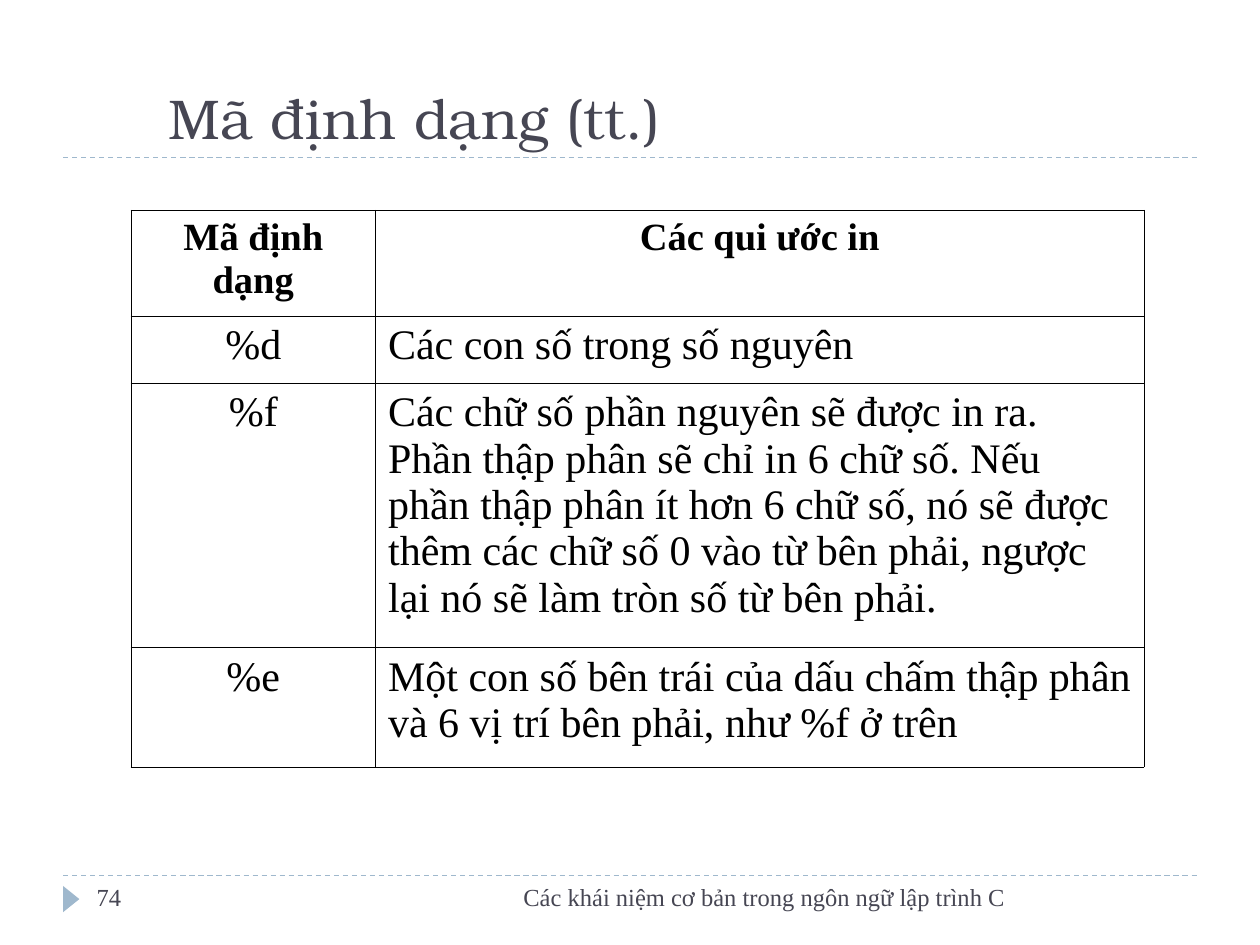
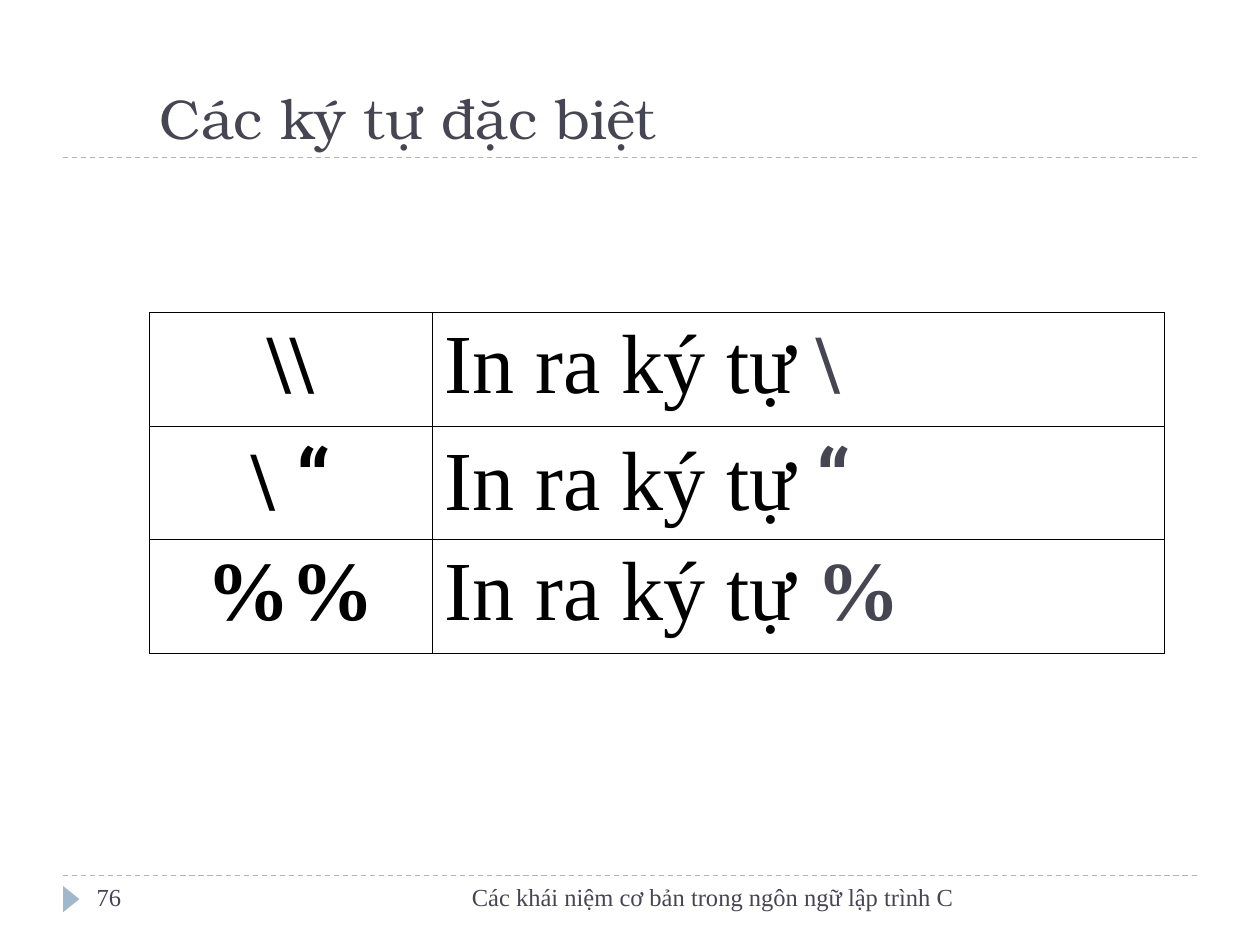
"""Build two slides on C format codes and special characters."""
from lxml.etree import SubElement
from pptx import Presentation
from pptx.dml.color import RGBColor
from pptx.enum.dml import MSO_LINE
from pptx.enum.shapes import MSO_CONNECTOR, MSO_SHAPE
from pptx.enum.text import MSO_ANCHOR, MSO_AUTO_SIZE, PP_ALIGN
from pptx.oxml.ns import qn
from pptx.util import Cm, Pt

INK = RGBColor(0x46, 0x46, 0x53)
BLUE = RGBColor(0x9F, 0xB8, 0xCD)
BLACK = RGBColor(0, 0, 0)
SERIF = "Times New Roman"
SANS = "Roboto"
HEAD = "TeX Gyre Bonum"
FOOT = "Các khái niệm cơ bản trong ngôn ngữ lập trình C"


def write(para, text, size, font=SERIF, color=BLACK, bold=False):
    run = para.add_run()
    run.text = text
    run.font.size = Pt(size)
    run.font.name = font
    run.font.color.rgb = color
    run.font.bold = bold


def edge(cell):
    props = cell._tc.get_or_add_tcPr()
    for side in ("a:lnL", "a:lnR", "a:lnT", "a:lnB"):
        line = SubElement(props, qn(side), w=str(Pt(0.45)))
        fill = SubElement(line, qn("a:solidFill"))
        SubElement(fill, qn("a:srgbClr"), val=str(BLACK))


codes = [
    ("%d", "Các con số trong số nguyên"),
    ("%f", "Các chữ số phần nguyên sẽ được in ra. Phần thập phân sẽ chỉ in "
           "6 chữ số. Nếu phần thập phân ít hơn 6 chữ số, nó sẽ được thêm các "
           "chữ số 0 vào từ bên phải, ngược lại nó sẽ làm tròn số từ bên phải."),
    ("%e", "Một con số bên trái của dấu chấm thập phân và 6 vị trí bên phải, "
           "như %f ở trên"),
]
rules = [[[(text, 22, SERIF, BLACK, True)] for text in ("Mã định dạng", "Các qui ước in")]]
rules += [[[(text, 24)] for text in pair] for pair in codes]

lead = ("In ra ký tự ", 48)
signs = [
    [[("\\\\", 48, SERIF, BLACK, True)],
     [lead, ("\\", 48, SERIF, INK, True)]],
    [[("\\ ", 48, SERIF, BLACK, True), ("“", 48, SANS, BLACK, True)],
     [lead, ("“", 48, SANS, INK, True)]],
    [[("%%", 48, SERIF, BLACK, True)],
     [lead, ("%", 48, SERIF, INK, True)]],
]

pages = [
    {"title": "Mã định dạng (tt.)", "left": 3.15, "width": 18.44,
     "spot": (2.64, 4.24), "cols": (4.93, 15.49),
     "rows": (2.13, 1.35, 5.33, 2.41), "cells": rules, "heads": 1,
     "foot": 12.47, "number": "74"},
    {"title": "Các ký tự đặc biệt", "left": 2.97, "width": 16.33,
     "spot": (3.02, 6.3), "cols": (5.69, 14.76),
     "rows": (2.29,) * 3, "cells": signs, "heads": 0,
     "foot": 11.43, "number": "76"},
]

deck = Presentation()
deck.slide_width, deck.slide_height = Cm(25.4), Cm(19.05)

for page in pages:
    slide = deck.slides.add_slide(deck.slide_layouts[5])
    shapes = slide.shapes

    for y in (17.65, 3.18):
        line = shapes.add_connector(MSO_CONNECTOR.STRAIGHT, Cm(1.27), Cm(y), Cm(24.13), Cm(y))
        line.line.color.rgb = BLUE
        line.line.width = Pt(0.75)
        line.line.dash_style = MSO_LINE.DASH
        SubElement(line._element.spPr, qn("a:effectLst"))

    mark = shapes.add_shape(MSO_SHAPE.ISOSCELES_TRIANGLE, Cm(1.17), Cm(17.96), Cm(0.53), Cm(0.33))
    mark.rotation = 90
    mark.shadow.inherit = False
    mark.fill.solid()
    mark.fill.fore_color.rgb = BLUE
    mark.line.fill.background()

    title = shapes.title
    title.left, title.top = Cm(page["left"]), Cm(1.09)
    title.width, title.height = Cm(page["width"]), Cm(2.08)
    frame = title.text_frame
    frame.auto_size = MSO_AUTO_SIZE.NONE
    frame.vertical_anchor = MSO_ANCHOR.BOTTOM
    frame.paragraphs[0].alignment = PP_ALIGN.LEFT
    write(frame.paragraphs[0], page["title"], 32, HEAD, INK)

    cols, rows = page["cols"], page["rows"]
    left, top = page["spot"]
    table = shapes.add_table(len(rows), len(cols), Cm(left), Cm(top),
                             Cm(sum(cols)), Cm(sum(rows))).table
    table.first_row = page["heads"] > 0
    table.horz_banding = False
    for col, width in zip(table.columns, cols):
        col.width = Cm(width)
    for row, height in zip(table.rows, rows):
        row.height = Cm(height)
    for r, items in enumerate(page["cells"]):
        for c, runs in enumerate(items):
            cell = table.cell(r, c)
            edge(cell)
            cell.fill.background()
            para = cell.text_frame.paragraphs[0]
            center = c == 0 or r < page["heads"]
            para.alignment = PP_ALIGN.CENTER if center else PP_ALIGN.LEFT
            for run in runs:
                write(para, *run)

    for text, x, width, align in (
        (FOOT, 8.05, page["foot"], PP_ALIGN.RIGHT),
        (page["number"], 1.7, 5.51, PP_ALIGN.LEFT),
    ):
        box = shapes.add_textbox(Cm(x), Cm(17.65), Cm(width), Cm(1.02))
        box.text_frame.word_wrap = True
        para = box.text_frame.paragraphs[0]
        para.alignment = align
        write(para, text, 14, SERIF, INK)

deck.save("out.pptx")
